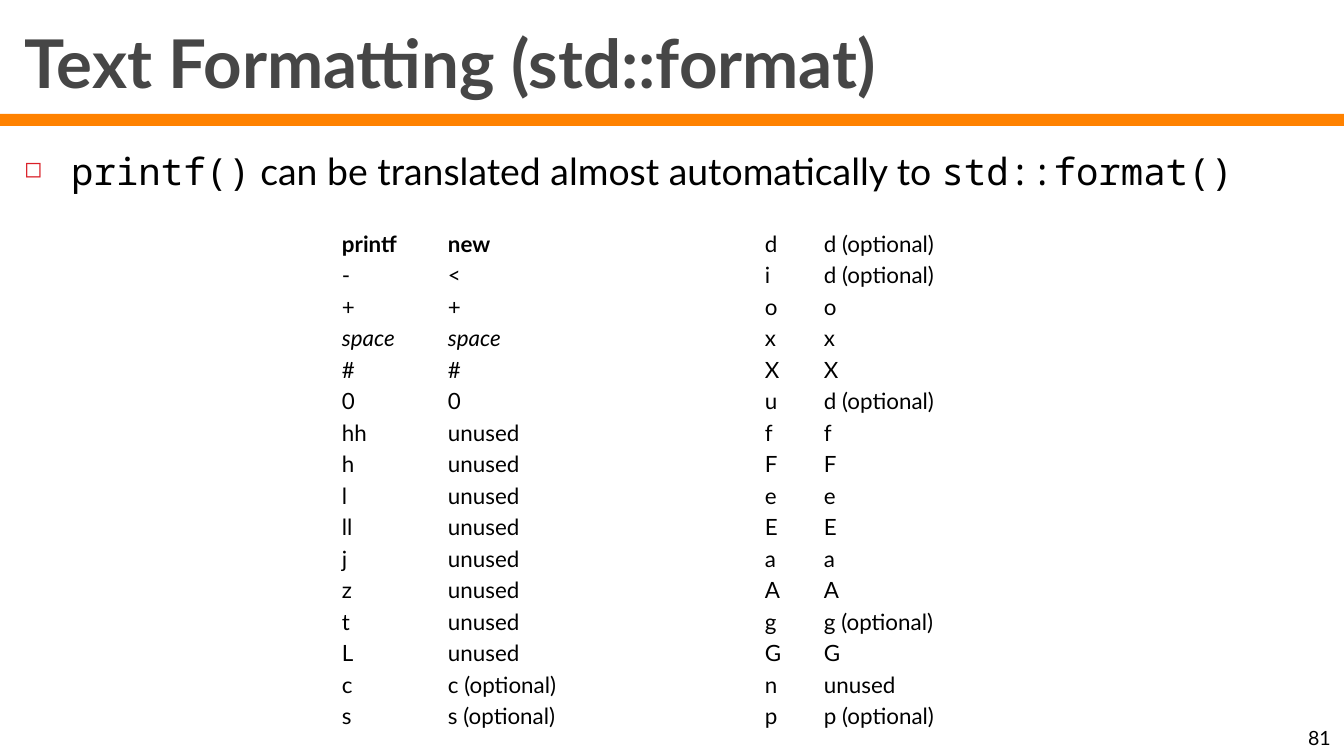
from lxml import etree
from pptx import Presentation
from pptx.dml.color import RGBColor
from pptx.enum.shapes import MSO_SHAPE
from pptx.enum.text import MSO_ANCHOR, MSO_AUTO_SIZE, PP_ALIGN
from pptx.oxml.ns import qn
from pptx.util import Emu, Pt

RECTANGLE = MSO_SHAPE.RECTANGLE
TOP, MIDDLE, BOTTOM = MSO_ANCHOR.TOP, MSO_ANCHOR.MIDDLE, MSO_ANCHOR.BOTTOM
LEFT, RIGHT = PP_ALIGN.LEFT, PP_ALIGN.RIGHT
NO_AUTOSIZE = MSO_AUTO_SIZE.NONE

EMU_PER_PIXEL = 914400 / 134.4
TITLE_ONLY = 5
PLAIN_TABLE_STYLE = "{2D5ABB26-0587-4C30-8999-92F81FD0307C}"
COLORS = {"title": "464646", "text": "000000", "bar": "FF8200", "bullet": "DA1F28"}
SANS, MONO = "Lato", "Noto Sans Mono"

FLAGS = [("printf", "new"), ("-", "<"), ("+", "+"), ("space", "space"),
         ("#", "#"), ("0", "0")]
FLAGS += [(length, "unused") for length in ("hh", "h", "l", "ll", "j", "z", "t", "L")]
FLAGS += [("c", "c (optional)"), ("s", "s (optional)")]
CONVERSIONS = [("d", "d (optional)"), ("i", "d (optional)"), ("o", "o"), ("x", "x"),
               ("X", "X"), ("u", "d (optional)"), ("f", "f"), ("F", "F"), ("e", "e"),
               ("E", "E"), ("a", "a"), ("A", "A"), ("g", "g (optional)"), ("G", "G"),
               ("n", "unused"), ("p", "p (optional)")]


def px(length):
    """Turn pixels into EMU."""
    return Emu(round(length * EMU_PER_PIXEL))


def set_attributes(target, values):
    """Set each named value on the target."""
    for name, value in values.items():
        setattr(target, name, value)


def add_span(para, text, size, color="text", font=SANS, **styles):
    """Add a formatted run to a paragraph."""
    span = para.add_run()
    span.text = text
    set_attributes(span.font, {"name": font, "size": Pt(size), "bold": False, **styles})
    span.font.color.rgb = RGBColor.from_string(COLORS[color])


def set_up_text(box, area, anchor, align):
    """Place a text shape and return its first paragraph."""
    set_attributes(box, dict(zip(("left", "top", "width", "height"), map(px, area))))
    frame = box.text_frame
    set_attributes(frame, {"word_wrap": True, "auto_size": NO_AUTOSIZE,
                           "vertical_anchor": anchor})
    para = frame.paragraphs[0]
    para.alignment = align
    return para


def add_text_box(page, area, anchor=TOP, align=LEFT):
    """Add a text box and return its first paragraph."""
    box = page.shapes.add_textbox(*map(px, area))
    return set_up_text(box, area, anchor, align)


def add_bar(page, area):
    """Add the coloured bar below the title."""
    bar = page.shapes.add_shape(RECTANGLE, *map(px, area))
    bar.shadow.inherit = False
    bar.fill.solid()
    bar.fill.fore_color.rgb = RGBColor.from_string(COLORS["bar"])
    bar.line.fill.background()


def set_bullet(para, indent):
    """Give a paragraph a small square bullet with a hanging indent."""
    properties = para._p.get_or_add_pPr()
    properties.set("marL", str(px(indent)))
    properties.set("indent", str(-px(indent)))
    color = etree.SubElement(properties, qn("a:buClr"))
    etree.SubElement(color, qn("a:srgbClr"), val=COLORS["bullet"])
    etree.SubElement(properties, qn("a:buSzPct"), val="60000")
    etree.SubElement(properties, qn("a:buChar"), char="\u25fb")


def add_plain_table(page, left, top, height, widths, rows):
    """Add a two-column table without grid or banding."""
    frame = page.shapes.add_table(len(rows), len(widths), px(left), px(top),
                                  px(sum(widths)), px(height))
    table = frame.table
    set_attributes(table, {"first_row": False, "horz_banding": False})
    table._tbl.tblPr.find(qn("a:tableStyleId")).text = PLAIN_TABLE_STYLE
    for column, width in zip(table.columns, widths):
        column.width = px(width)
    margins = {"margin_left": px(4), "margin_right": px(4),
               "margin_top": px(2), "margin_bottom": px(2)}
    for row, texts in zip(table.rows, rows):
        row.height = px(height / len(rows))
        for cell, text in zip(row.cells, texts):
            cell.fill.background()
            set_attributes(cell, {**margins, "vertical_anchor": MIDDLE})
            add_span(cell.text_frame.paragraphs[0], text, 12,
                     bold=texts == ("printf", "new"), italic=text == "space")


def main():
    """Build the slide and save it."""
    deck = Presentation()
    set_attributes(deck, {"slide_width": px(1344), "slide_height": px(756)})
    page = deck.slides.add_slide(deck.slide_layouts[TITLE_ONLY])

    add_bar(page, (0, 114, 1344, 12))
    number = add_text_box(page, (1259, 718, 85, 38), BOTTOM, RIGHT)
    add_span(number, "81", 10.5)

    title = set_up_text(page.shapes.title, (11, 18, 1321, 91), BOTTOM, LEFT)
    add_span(title, "Text Formatting (std::format)", 36, "title", bold=True)

    point = add_text_box(page, (11, 142, 1321, 605))
    point.space_before = Pt(7)
    set_bullet(point, 47)
    for text, font in (("printf()", MONO),
                       (" can be translated almost automatically to ", SANS),
                       ("std::format()", MONO)):
        add_span(point, text, 20, font=font)

    for left, widths, rows in ((338, (106, 146), FLAGS), (761, (59, 157), CONVERSIONS)):
        add_plain_table(page, left, 228, 504, widths, rows)
    deck.save("out.pptx")


main()
